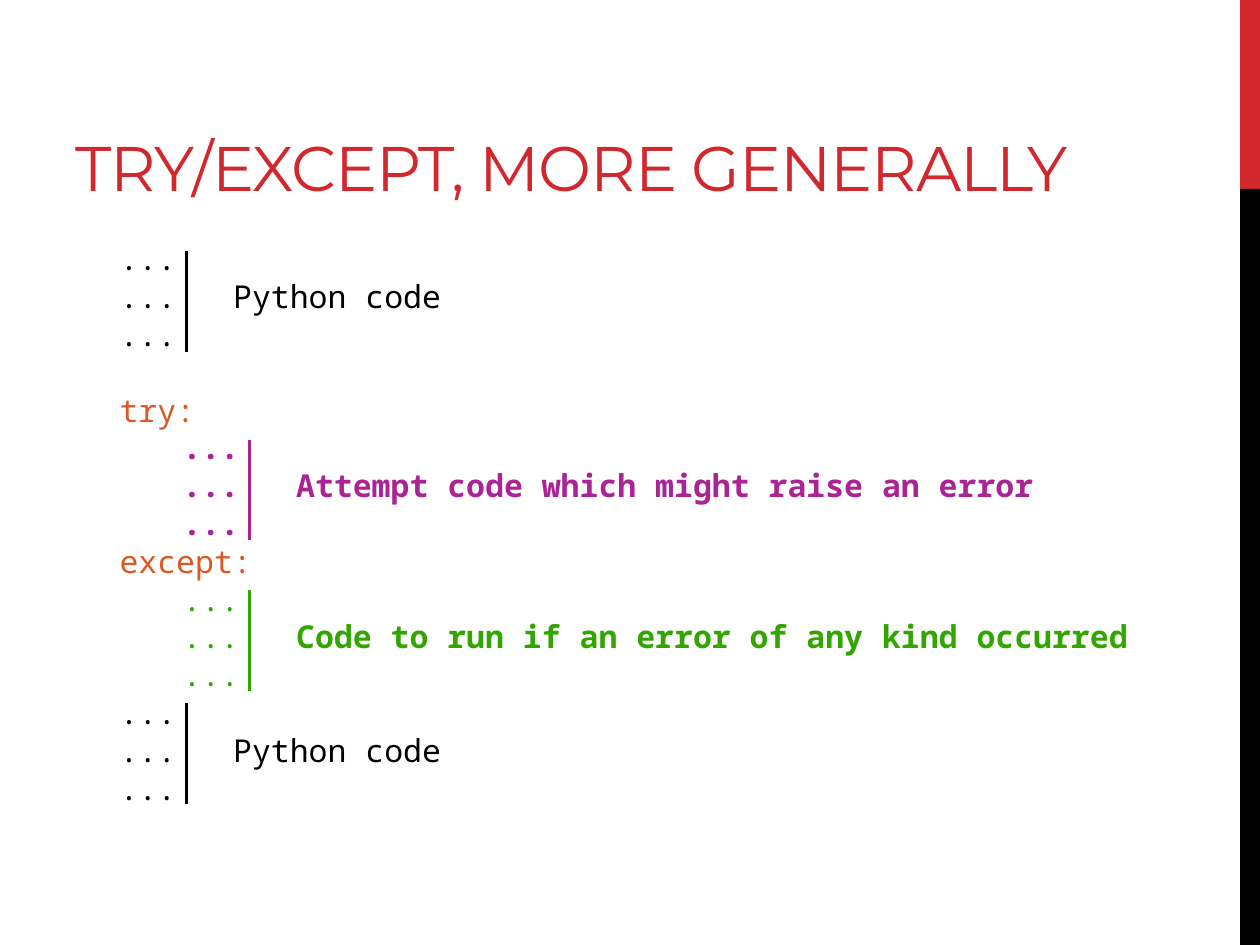
from dataclasses import dataclass

from lxml.etree import SubElement
from pptx import Presentation
from pptx.dml.color import RGBColor
from pptx.enum.shapes import MSO_CONNECTOR, MSO_SHAPE
from pptx.enum.text import MSO_ANCHOR
from pptx.oxml.ns import qn
from pptx.util import Cm, Pt


@dataclass(frozen=True)
class Theme:
    red: str = "D1282E"
    black: str = "000000"
    keyword: str = "DC5924"
    attempt: str = "AB2495"
    handler: str = "32A600"
    heading_font: str = "Montserrat"
    code_font: str = "Noto Sans Mono"
    heading_size: float = 36
    code_size: float = 18
    bar_width: float = 2.25


THEME = Theme()

# Content: keyword, rows left empty above, label, colour, indent level, bold dots, bold label
HEADING = "TRY/EXCEPT, MORE GENERALLY"
BLOCKS = [
    (None, 0, "Python code", THEME.black, 0, False, False),
    ("try:", 1, "Attempt code which might raise an error", THEME.attempt, 1, True, True),
    ("except:", 0, "Code to run if an error of any kind occurred", THEME.handler, 1, False, True),
    (None, 0, "Python code", THEME.black, 0, False, False),
]
DOT_ROWS = 3

# Measures in centimetres
CODE_LEFT, CODE_TOP, CODE_WIDTH, CODE_HEIGHT = 2.16, 4.7, 22.6, 12.7
ROW, INDENT, LABEL_OFFSET = 0.76, 1.27, 2.29
BAR_X, BAR_Y, BAR_LENGTH = 1.6, 0.36, 2.03
SIDE_LEFT, SIDE_SPLIT = 25, 3.81
ROW_PITCH = Pt(21.6)

deck = Presentation()
deck.slide_width, deck.slide_height = Cm(25.4), Cm(19.05)
slide = deck.slides.add_slide(deck.slide_layouts[6])


def add_run(paragraph, words, font, size, colour, bold=False):
    run = paragraph.add_run()
    run.text = words
    run.font.name, run.font.size, run.font.bold = font, Pt(size), bold
    run.font.color.rgb = RGBColor.from_string(colour)
    return run


def add_frame(left, top, width, height):
    frame = slide.shapes.add_textbox(Cm(left), Cm(top), Cm(width), Cm(height)).text_frame
    frame.word_wrap = True
    return frame


def add_code_row(rows, pieces, colour, empty_rows=0, tabs=()):
    """Add one code line from (words, bold) pieces."""
    paragraph = code.add_paragraph() if rows else code.paragraphs[0]
    paragraph.line_spacing = ROW_PITCH
    paragraph.space_before = ROW_PITCH * empty_rows
    if tabs:
        stops = SubElement(paragraph._p.get_or_add_pPr(), qn("a:tabLst"))
        for stop in tabs:
            SubElement(stops, qn("a:tab"), pos=str(Cm(stop)), algn="l")
    for words, bold in pieces:
        add_run(paragraph, words, THEME.code_font, THEME.code_size, colour, bold)


def add_bar(left, top, colour):
    bar = slide.shapes.add_connector(
        MSO_CONNECTOR.STRAIGHT, Cm(left), Cm(top), Cm(left), Cm(top + BAR_LENGTH))
    bar.line.color.rgb = RGBColor.from_string(colour)
    bar.line.width = Pt(THEME.bar_width)
    SubElement(bar._element.spPr, qn("a:effectLst"))


# Side stripe
for top, bottom, colour in [(0, SIDE_SPLIT, THEME.red), (SIDE_SPLIT, 19.05, THEME.black)]:
    stripe = slide.shapes.add_shape(
        MSO_SHAPE.RECTANGLE, Cm(SIDE_LEFT), Cm(top), Cm(25.4 - SIDE_LEFT), Cm(bottom - top))
    stripe.shadow.inherit = False
    stripe.fill.solid()
    stripe.fill.fore_color.rgb = RGBColor.from_string(colour)
    stripe.line.fill.background()

# Heading
heading = add_frame(1.27, 0.43, 21.16, 3.81)
heading.vertical_anchor = MSO_ANCHOR.BOTTOM
heading_run = add_run(
    heading.paragraphs[0], HEADING, THEME.heading_font, THEME.heading_size, THEME.red)
heading_run.font._element.set("spc", "-60")

# Code blocks with their bars
code = add_frame(CODE_LEFT, CODE_TOP, CODE_WIDTH, CODE_HEIGHT)
row = 0
for keyword, empty_rows, label, colour, level, bold_dots, bold_label in BLOCKS:
    if keyword:
        add_code_row(row, [(keyword, False)], THEME.keyword, empty_rows)
        row += 1 + empty_rows
    indent = level * INDENT
    tabs = [indent] * level + [indent + LABEL_OFFSET]
    add_bar(CODE_LEFT + BAR_X + indent, CODE_TOP + BAR_Y + row * ROW, colour)
    for dot_row in range(DOT_ROWS):
        pieces = [("\t" * level + "...", bold_dots)]
        if dot_row == DOT_ROWS // 2:
            pieces.append(("\t" + label, bold_label))
        add_code_row(row, pieces, colour, tabs=tabs)
        row += 1

deck.save("out.pptx")
